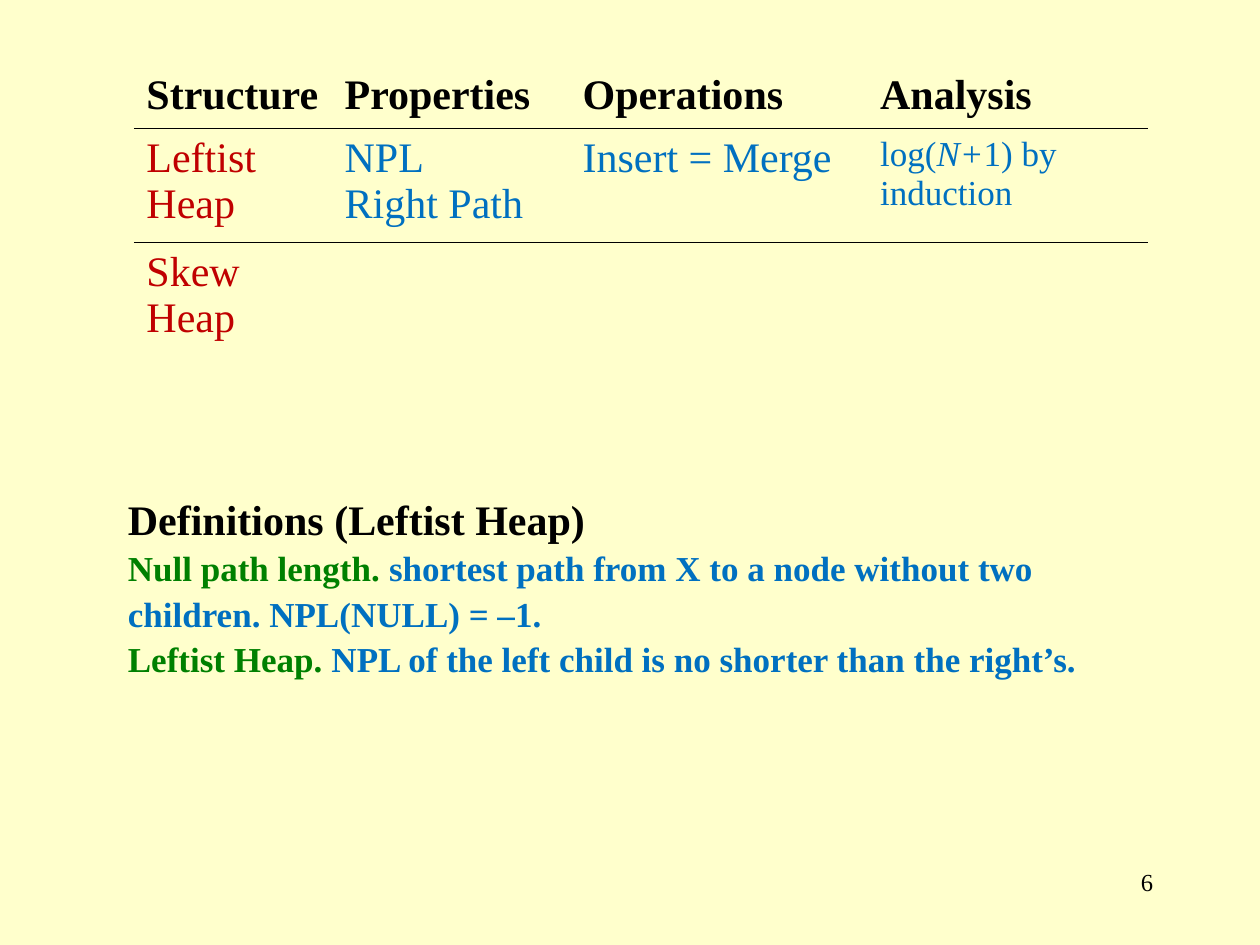
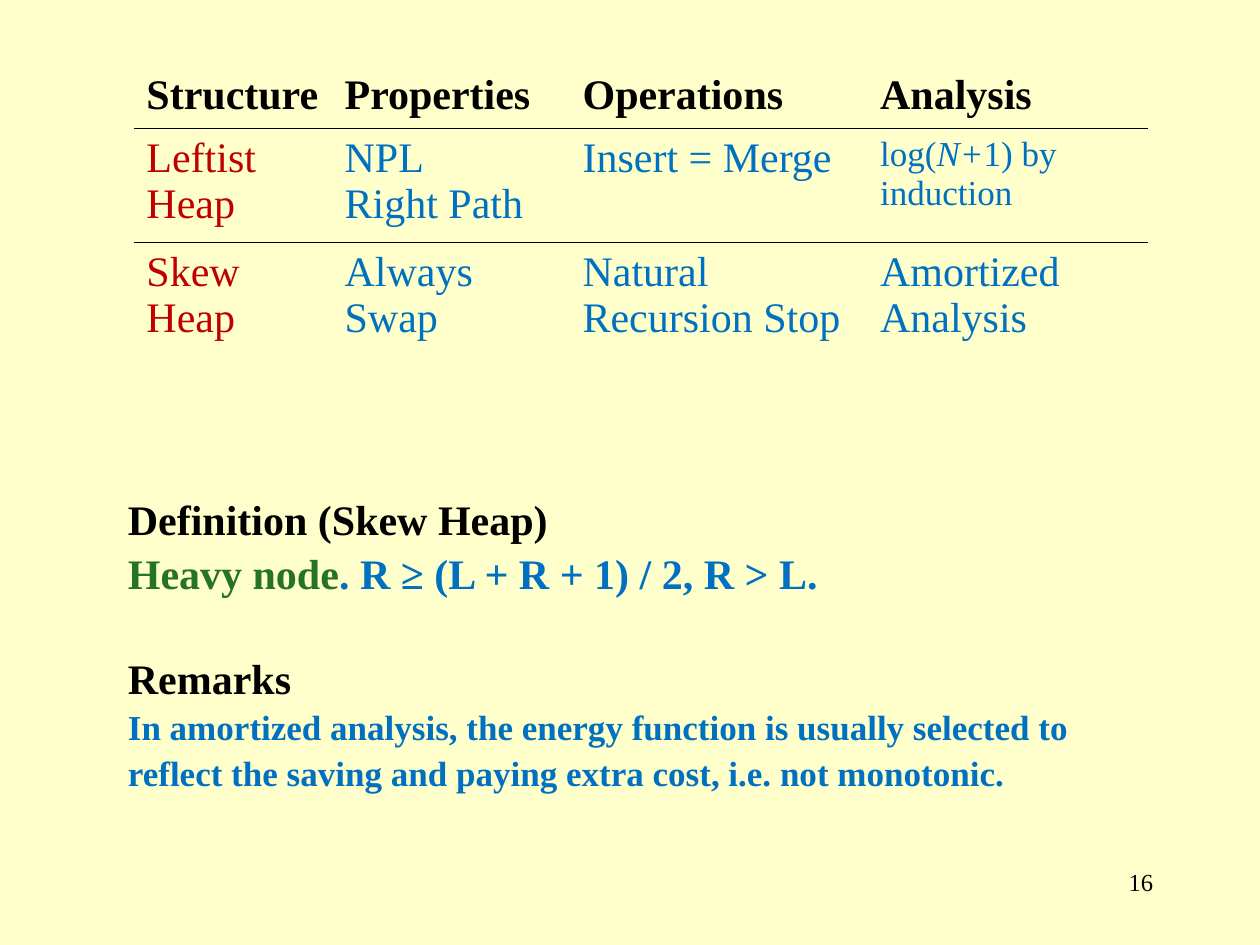
from dataclasses import dataclass

import pptx
import pptx.dml.color
import pptx.enum.text
import pptx.oxml
import pptx.oxml.ns
import pptx.util
from pptx.util import Pt


# Colours and type sizes
@dataclass(frozen=True)
class Theme:
    font: str = "Times New Roman"
    background: str = "FFFFCC"
    ink: str = "000000"
    structure: str = "C00000"
    detail: str = "0070C0"
    term: str = "008000"
    heavy_term: str = "267326"
    large: int = 24
    medium: int = 20
    small: int = 14
    rule: float = 0.45
    spacing: float = 1.08


THEME = Theme()
NO_STYLE = "{2D5ABB26-0587-4C30-8999-92F81FD0307C}"

# Table layout
COLUMN_WIDTHS = (113.25, 136, 170, 160.5)
ROW_HEIGHTS = (36, 65, 93.5)
HEADER = ("Structure", "Properties", "Operations", "Analysis")


@dataclass(frozen=True)
class Piece:
    text: str
    color: str = THEME.detail
    size: int = THEME.large
    bold: bool = False
    italic: bool = False


def rgb(color):
    return pptx.dml.color.RGBColor.from_string(color)


def write_paragraphs(frame, paragraphs):
    """Fill a text frame; each paragraph is a list of pieces."""
    for index, pieces in enumerate(paragraphs):
        paragraph = frame.paragraphs[0] if index == 0 else frame.add_paragraph()
        for piece in pieces:
            run = paragraph.add_run()
            run.text = piece.text
            run.font.name = THEME.font
            run.font.size = Pt(piece.size)
            run.font.bold = piece.bold
            run.font.italic = piece.italic
            run.font.color.rgb = rgb(piece.color)


def add_text(slide, left, top, width, height, paragraphs):
    frame = slide.shapes.add_textbox(Pt(left), Pt(top), Pt(width), Pt(height)).text_frame
    frame.word_wrap = True
    write_paragraphs(frame, paragraphs)
    return frame


def add_page_number(slide, number):
    frame = add_text(slide, 516, 492, 150, 36,
                     [[Piece(str(number), THEME.ink, THEME.small)]])
    frame.paragraphs[0].alignment = pptx.enum.text.PP_ALIGN.RIGHT


def add_rule(cell, side):
    """Draw the header rule on one side of a cell: lnB or lnT."""
    line = pptx.oxml.parse_xml(
        f'<a:{side} {pptx.oxml.ns.nsdecls("a")} w="{int(Pt(THEME.rule))}">'
        f'<a:solidFill><a:srgbClr val="{THEME.ink}"/></a:solidFill></a:{side}>')
    cell._tc.get_or_add_tcPr().insert(0, line)


def add_comparison(slide, skew_details):
    """Heap comparison table; the skew heap details may be empty."""
    rows = [
        [[[Piece(title, THEME.ink, bold=True)]] for title in HEADER],
        [
            [[Piece("Leftist Heap", THEME.structure)]],
            [[Piece("NPL")], [Piece("Right Path")]],
            [[Piece("Insert = Merge")]],
            [[Piece("log(", size=THEME.medium),
              Piece("N+", size=THEME.medium, italic=True),
              Piece("1) by induction", size=THEME.medium)]],
        ],
        [[[Piece("Skew Heap", THEME.structure)]]]
        + [[[Piece(detail)]] for detail in skew_details],
    ]
    frame = slide.shapes.add_table(
        len(ROW_HEIGHTS), len(COLUMN_WIDTHS), Pt(76.5), Pt(37.5),
        Pt(sum(COLUMN_WIDTHS)), Pt(sum(ROW_HEIGHTS)))
    comparison = frame.table
    comparison.horz_banding = False
    comparison._tbl.tblPr.find(pptx.oxml.ns.qn("a:tableStyleId")).text = NO_STYLE
    for column, width in zip(comparison.columns, COLUMN_WIDTHS):
        column.width = Pt(width)
    for row, height in zip(comparison.rows, ROW_HEIGHTS):
        row.height = Pt(height)
    for cell in comparison.iter_cells():
        cell.fill.background()
    for row_index, row in enumerate(rows):
        for column_index, paragraphs in enumerate(row):
            write_paragraphs(comparison.cell(row_index, column_index).text_frame, paragraphs)
    for column_index in range(len(COLUMN_WIDTHS)):
        add_rule(comparison.cell(0, column_index), "lnB")
        add_rule(comparison.cell(1, column_index), "lnT")


def add_definitions(slide, height, paragraphs):
    frame = add_text(slide, 66, 276, 600, height, paragraphs)
    frame.auto_size = pptx.enum.text.MSO_AUTO_SIZE.SHAPE_TO_FIT_TEXT
    for paragraph in frame.paragraphs:
        paragraph.line_spacing = THEME.spacing
    return frame


def heading(text):
    return [Piece(text, THEME.ink, bold=True)]


def statement(term, meaning, term_color=THEME.term, size=THEME.medium):
    return [Piece(term, term_color, size, bold=True),
            Piece(meaning, THEME.detail, size, bold=True)]


def add_heap_slide(deck, number, skew_details=()):
    slide = deck.slides.add_slide(deck.slide_layouts[6])
    add_page_number(slide, number)
    add_comparison(slide, skew_details)
    return slide


def main():
    deck = pptx.Presentation()
    deck.slide_width, deck.slide_height = Pt(720), Pt(540)
    background = deck.slide_master.background.fill
    background.solid()
    background.fore_color.rgb = rgb(THEME.background)

    # Leftist heap
    leftist = add_heap_slide(deck, 6)
    add_definitions(leftist, 132, [
        heading("Definitions (Leftist Heap)"),
        statement("Null path length. ",
                  "shortest path from X to a node without two children. NPL(NULL) = –1."),
        statement("Leftist Heap. ",
                  "NPL of the left child is no shorter than the right’s."),
    ])

    # Skew heap
    skew = add_heap_slide(
        deck, 16, ("Always Swap", "Natural Recursion Stop", "Amortized Analysis"))
    definition = add_definitions(skew, 194, [
        heading("Definition (Skew Heap)"),
        statement("Heavy node", ". R ≥ (L + R + 1) / 2, R > L.",
                  THEME.heavy_term, THEME.large),
        heading("Remarks"),
        [Piece("In amortized analysis, the energy function is usually selected to "
               "reflect the saving and paying extra cost, i.e. not monotonic.",
               size=THEME.medium, bold=True)],
    ])
    remarks = definition.paragraphs[2]
    remarks.space_before = Pt(28.7)

    deck.save("out.pptx")


if __name__ == "__main__":
    main()
